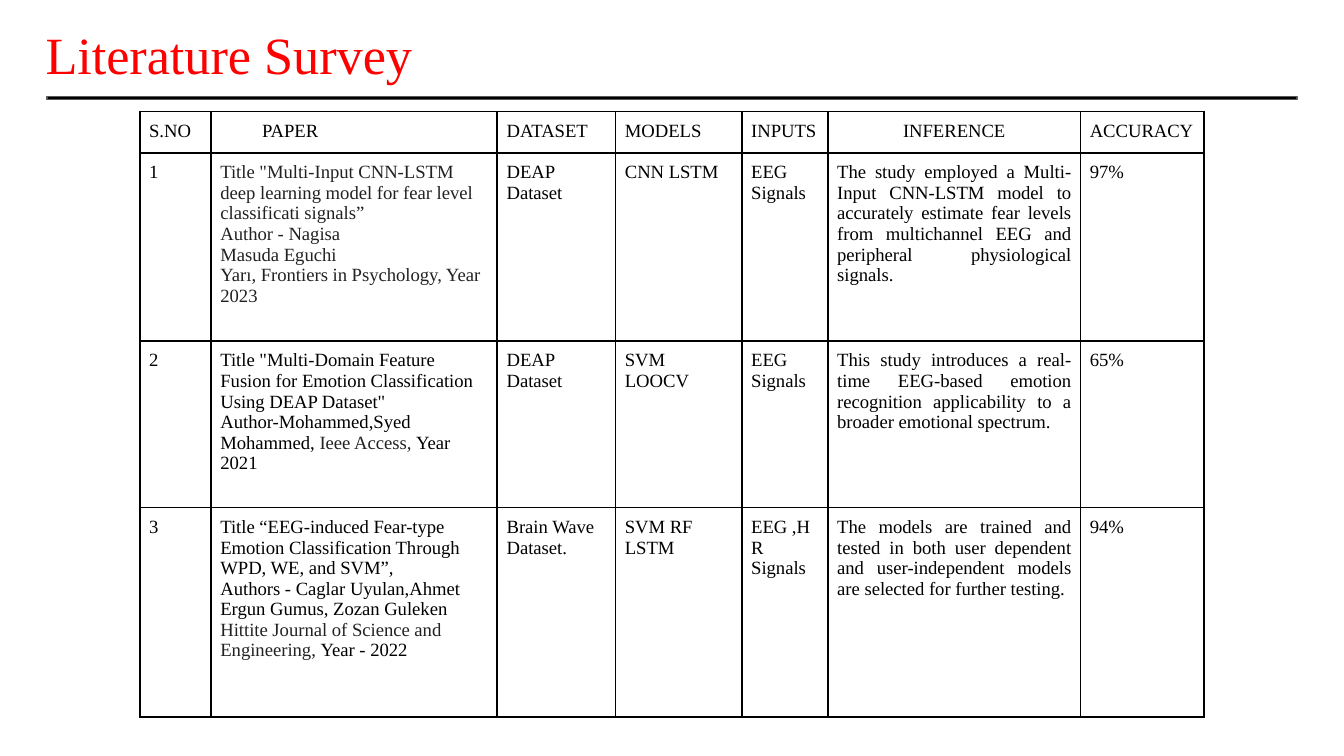
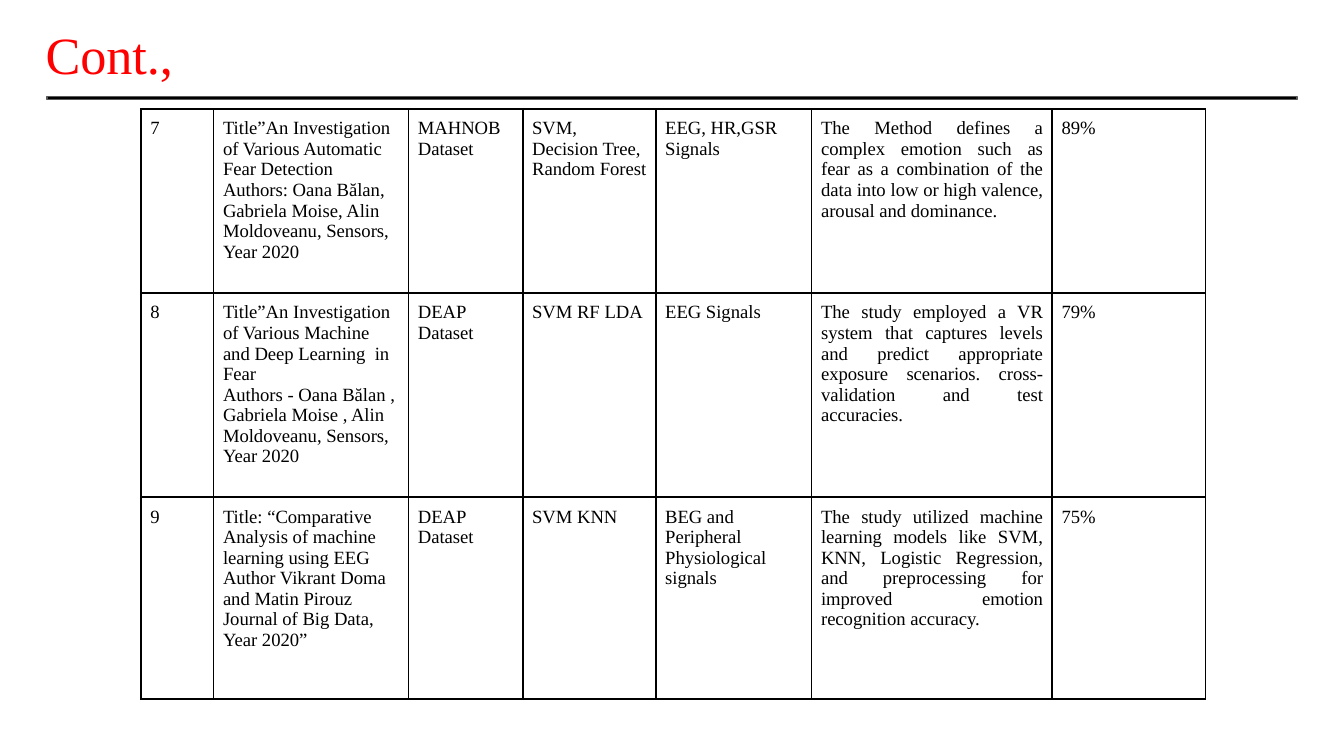
import dataclasses
import pptx
import pptx.util
import pptx.dml.color
import pptx.enum.shapes
import pptx.enum.text
import pptx.oxml.ns
import lxml.etree

Inches = pptx.util.Inches
Align = pptx.enum.text.PP_ALIGN


@dataclasses.dataclass(frozen=True)
class Theme:
    font: str = "Times New Roman"
    red: str = "FF0000"
    black: str = "000000"
    soft: str = "222222"
    grey: str = "595959"
    title: int = 28
    body: int = 10
    rule: float = 0.75
    border: int = 1
    inset: float = 0.07
    indent: float = 0.31


THEME = Theme()
MARK = "~"
INFER = 5

HEADS = ["S.NO", "PAPER", "DATASET", "MODELS", "INPUTS", "INFERENCE", "ACCURACY"]

FIRST = [
    ["1",
     '~Title "Multi-Input CNN-LSTM deep learning model for fear level classificati signals”~\n'
     "~Author - Nagisa~\n~Masuda Eguchi~\n~Yarı, Frontiers in Psychology, Year 2023~",
     "DEAP Dataset", "CNN LSTM", "EEG Signals",
     "The study employed a Multi-Input CNN-LSTM model to accurately estimate fear levels "
     "from multichannel EEG and peripheral physiological signals.",
     "97%"],
    ["2",
     'Title "Multi-Domain Feature Fusion for Emotion Classification Using DEAP Dataset"\n'
     "Author-Mohammed,Syed Mohammed, ~Ieee Access, ~Year 2021",
     "DEAP Dataset", "SVM LOOCV", "EEG Signals",
     "This study introduces a real-time EEG-based emotion recognition applicability "
     "to a broader emotional spectrum.",
     "65%"],
    ["3",
     "Title “EEG-induced Fear-type Emotion Classification Through WPD, WE, and SVM”,\n"
     "Authors - Caglar Uyulan,Ahmet Ergun Gumus, Zozan Guleken "
     "~Hittite Journal of Science and Engineering, ~Year - 2022",
     "Brain Wave\nDataset.", "SVM RF LSTM", "EEG ,HR Signals",
     "The models are trained and tested in both user dependent and user-independent models "
     "are selected for further testing.",
     "94%"],
]

LAST = [
    ["7",
     "Title”An Investigation of Various Automatic Fear Detection Authors: Oana Bălan, "
     "Gabriela Moise, Alin Moldoveanu, Sensors, Year 2020",
     "MAHNOB Dataset", "SVM, Decision Tree, Random Forest", "EEG, HR,GSR Signals",
     "The Method defines a complex emotion such as fear as a combination of the data "
     "into low or high valence, arousal and dominance.",
     "89%"],
    ["8",
     "Title”An Investigation of Various Machine and Deep Learning  in Fear\n"
     "Authors - Oana Bălan , Gabriela Moise , Alin Moldoveanu, Sensors, Year 2020",
     "DEAP Dataset", "SVM RF LDA", "EEG Signals",
     "The study employed a VR system that captures levels and predict appropriate exposure "
     "scenarios. cross-validation and test accuracies.",
     "79%"],
    ["9",
     "Title: “Comparative Analysis of machine learning using EEG\n"
     "Author Vikrant Doma and Matin Pirouz Journal of Big Data, Year 2020”",
     "DEAP Dataset", "SVM KNN", "BEG and Peripheral Physiological signals",
     "The study utilized machine learning models like SVM, KNN, Logistic Regression, "
     "and preprocessing for improved emotion recognition accuracy.",
     "75%"],
]


def rgb(code):
    return pptx.dml.color.RGBColor.from_string(code)


def style(font, size, color):
    font.name = THEME.font
    font.size = pptx.util.Pt(size)
    font.color.rgb = rgb(color)


def add_title(slide, text):
    box = slide.shapes.add_textbox(Inches(0.24), Inches(0.12), Inches(9.32), Inches(0.65))
    frame = box.text_frame
    frame.word_wrap = True
    for side in ("left", "right", "top", "bottom"):
        setattr(frame, f"margin_{side}", Inches(0.1))
    para = frame.paragraphs[0]
    para.text = text
    para.line_spacing = 0.9
    style(para.font, THEME.title, THEME.red)


def add_rule(slide):
    bar = slide.shapes.add_shape(
        pptx.enum.shapes.MSO_SHAPE.RECTANGLE,
        Inches(0.35), Inches(0.72), Inches(9.3), Inches(0.02))
    bar.shadow.inherit = False
    bar.fill.solid()
    bar.fill.fore_color.rgb = rgb(THEME.black)
    bar.line.color.rgb = rgb(THEME.grey)
    bar.line.width = pptx.util.Pt(THEME.rule)


def add_border(cell):
    qn = pptx.oxml.ns.qn
    props = cell._tc.get_or_add_tcPr()
    for side in ("lnL", "lnR", "lnT", "lnB"):
        line = lxml.etree.SubElement(
            props, qn(f"a:{side}"), w=str(pptx.util.Pt(THEME.border)))
        fill = lxml.etree.SubElement(line, qn("a:solidFill"))
        lxml.etree.SubElement(fill, qn("a:srgbClr"), val=THEME.black)


def fill_para(para, text):
    parts = [(part, THEME.soft if spot % 2 else THEME.black)
             for spot, part in enumerate(text.split(MARK)) if part]
    style(para.font, THEME.body, parts[0][1])
    for part, color in parts:
        run = para.add_run()
        run.text = part
        if len(parts) > 1:
            run.font.color.rgb = rgb(color)


def fill_cell(cell, text, align):
    for side in ("left", "right", "top", "bottom"):
        setattr(cell, f"margin_{side}", Inches(THEME.inset))
    add_border(cell)
    cell.fill.background()
    frame = cell.text_frame
    for spot, line in enumerate(text.split("\n")):
        para = frame.add_paragraph() if spot else frame.paragraphs[0]
        para.alignment = align
        fill_para(para, line)


def add_grid(slide, left, top, widths, heights, rows):
    grid = slide.shapes.add_table(
        len(rows), len(widths), Inches(left), Inches(top),
        Inches(sum(widths)), Inches(sum(heights))).table
    grid.first_row = False
    grid.horz_banding = False
    for col, width in zip(grid.columns, widths):
        col.width = Inches(width)
    for row, height, texts in zip(grid.rows, heights, rows):
        row.height = Inches(height)
        for spot, (cell, text) in enumerate(zip(row.cells, texts)):
            align = Align.JUSTIFY if spot == INFER else Align.LEFT
            fill_cell(cell, text, align)
    return grid


def style_heads(grid):
    paper = grid.cell(0, HEADS.index("PAPER"))
    paper.margin_left = Inches(THEME.inset + THEME.indent)
    grid.cell(0, INFER).text_frame.paragraphs[0].alignment = Align.CENTER


def add_page(deck, title):
    slide = deck.slides.add_slide(deck.slide_layouts[6])
    add_title(slide, title)
    add_rule(slide)
    return slide


def main():
    deck = pptx.Presentation()
    deck.slide_width = Inches(10)
    deck.slide_height = Inches(10 * 9 / 16)

    slide = add_page(deck, "Literature Survey")
    grid = add_grid(slide, 1.04, 0.83,
                    [0.53, 2.13, 0.88, 0.94, 0.64, 1.88, 0.92],
                    [0.29, 1.4, 1.24, 1.56], [HEADS] + FIRST)
    style_heads(grid)

    slide = add_page(deck, "Cont.,")
    add_grid(slide, 1.05, 0.81,
             [0.54, 1.45, 0.85, 0.99, 1.16, 1.79, 1.14],
             [1.37, 1.52, 1.5], LAST)

    deck.save("out.pptx")


if __name__ == "__main__":
    main()
